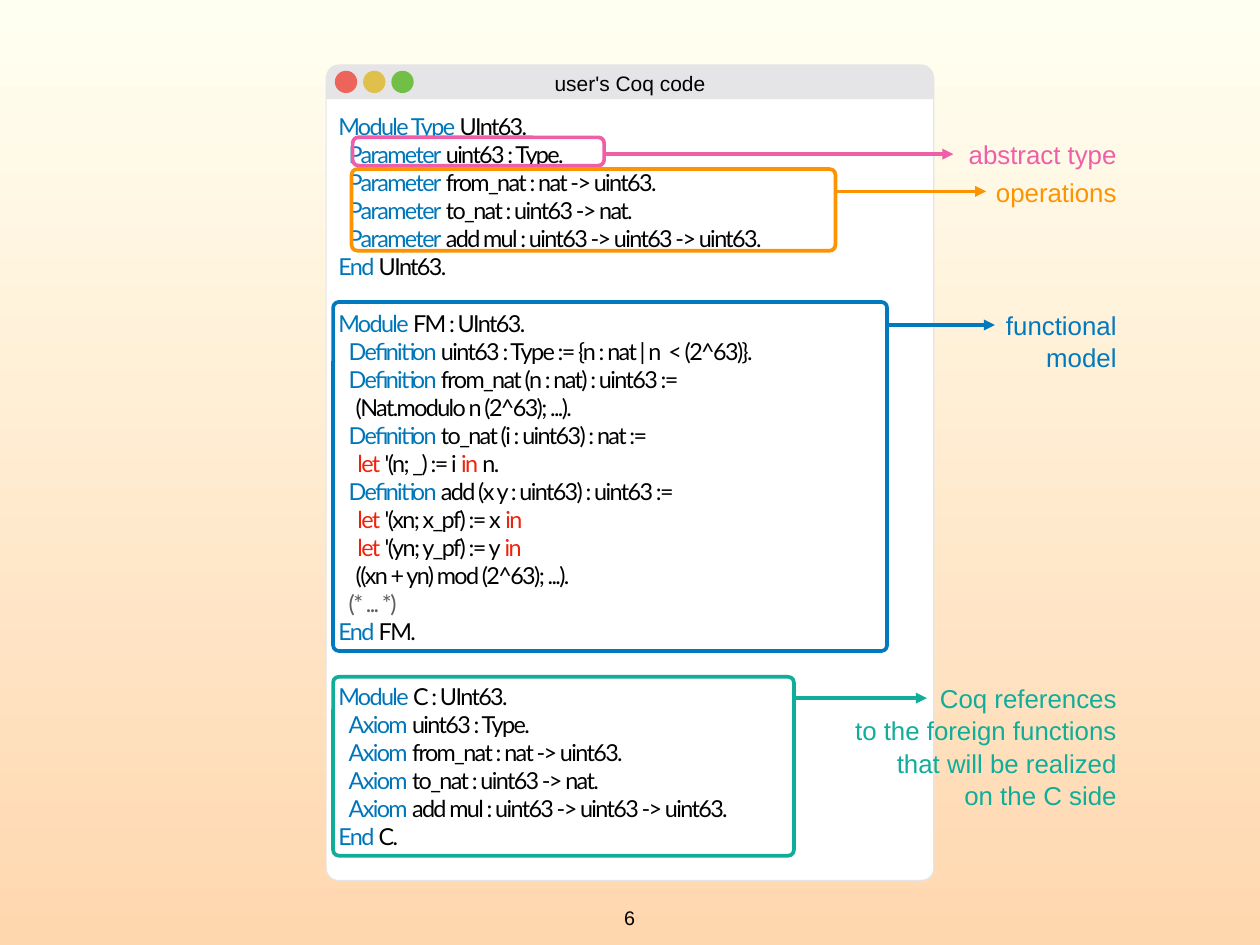
from pptx import Presentation
from pptx.dml.color import RGBColor
from pptx.enum.shapes import MSO_CONNECTOR, MSO_SHAPE
from pptx.enum.text import MSO_ANCHOR, MSO_AUTO_SIZE, PP_ALIGN
from pptx.oxml.ns import qn
from pptx.util import Cm, Pt
from lxml import etree

ROUND = MSO_SHAPE.ROUNDED_RECTANGLE
CAP = MSO_SHAPE.ROUND_2_SAME_RECTANGLE
OVAL = MSO_SHAPE.OVAL
STRAIGHT = MSO_CONNECTOR.STRAIGHT
TOP, MIDDLE = MSO_ANCHOR.TOP, MSO_ANCHOR.MIDDLE
FIXED = MSO_AUTO_SIZE.NONE
LEFT, CENTER, RIGHT = PP_ALIGN.LEFT, PP_ALIGN.CENTER, PP_ALIGN.RIGHT

BLACK, GREY, BLUE, RED = "000000", "E5E4E6", "0076BA", "EE230C"
INKS = {"let": RED, "in": RED, "(* ... *)": "5E5E5E"}
PAD = 0.15
EDGE = 32.16

TYPE_CODE = """`Module Type` UInt63.
  `Parameter` uint63 : Type.
  `Parameter` from_nat : nat -> uint63.
  `Parameter` to_nat : uint63 -> nat.
  `Parameter` add mul : uint63 -> uint63 -> uint63.
`End` UInt63."""

MODEL_CODE = """`Module` FM : UInt63.
  `Definition` uint63 : Type := {n : nat | n  < (2^63)}.
  `Definition` from_nat (n : nat) : uint63 :=
    (Nat.modulo n (2^63); ...).
  `Definition` to_nat (i : uint63) : nat :=
    `let` '(n; _) := i `in` n.
  `Definition` add (x y : uint63) : uint63 :=
    `let` '(xn; x_pf) := x `in`
    `let` '(yn; y_pf) := y `in`
    ((xn + yn) mod (2^63); ...).
  `(* ... *)`
`End` FM."""

AXIOM_CODE = """`Module` C : UInt63.
  `Axiom` uint63 : Type.
  `Axiom` from_nat : nat -> uint63.
  `Axiom` to_nat : uint63 -> nat.
  `Axiom` add mul : uint63 -> uint63 -> uint63.
`End` C."""

CODES = [(3.07, 5.31, TYPE_CODE), (8.71, 10.03, MODEL_CODE), (19.41, 5.31, AXIOM_CODE)]

NOTES = [
    ((10.11, 3.94, 7.21, 0.81), 0.48, 27.33, "EF5FA7", "abstract type"),
    ((10.08, 4.85, 13.87, 2.34), 0.64, 28.27, "FE9301", "operations"),
    ((9.55, 8.66, 15.88, 10.01), 0.66, 28.52, "0079BF", "functional\nmodel"),
    ((9.55, 19.41, 13.21, 5.13), 0.61, 26.57, "10AD9B",
     "Coq references\nto the foreign functions\nthat will be realized\non the C side"),
]


def hue(code):
    return RGBColor.from_string(code)


def style(run, font, size, color):
    run.font.name = font
    run.font.size = Pt(size)
    run.font.color.rgb = hue(color)


def shape(slide, kind, box, fill=None, line=None, width=1):
    item = slide.shapes.add_shape(kind, *map(Cm, box))
    item.shadow.inherit = False
    if fill:
        item.fill.solid()
        item.fill.fore_color.rgb = hue(fill)
    else:
        item.fill.background()
    if line:
        item.line.color.rgb = hue(line)
        item.line.width = Pt(width)
    else:
        item.line.fill.background()
    return item


def frame(item, anchor):
    text = item.text_frame
    text.word_wrap = True
    text.auto_size = FIXED
    text.vertical_anchor = anchor
    text.margin_left = text.margin_right = Cm(PAD)
    text.margin_top = text.margin_bottom = Cm(PAD)
    return text


def write(item, words, size, color, align, anchor=TOP, space=1.0):
    text = frame(item, anchor)
    text.text = words
    for para in text.paragraphs:
        para.alignment = align
        para.line_spacing = space
        for run in para.runs:
            style(run, "Arial", size, color)


def window(slide, box, name):
    left, top, width, height = box
    body = shape(slide, ROUND, (left, top + 0.08, width, height), "FFFFFF", GREY)
    body.adjustments[0] = 0.02
    bar = shape(slide, CAP, (left, top, width, 0.99), GREY)
    bar.adjustments[0] = 0.366
    for step, color in enumerate(["ED655A", "E0C04C", "72BF47"]):
        shape(slide, OVAL, (left + 0.25 + step * 0.81, top + 0.18, 0.64, 0.64), color)
    title = slide.shapes.title
    title.left, title.top = Cm(left), Cm(top + 0.05)
    title.width, title.height = Cm(width), Cm(0.97)
    write(title, name, 17, BLACK, CENTER, MIDDLE)
    slide.shapes._spTree.append(title._element)


def code(slide, box, source):
    text = frame(slide.shapes.add_textbox(*map(Cm, box)), TOP)
    for row, line in enumerate(source.split("\n")):
        para = text.add_paragraph() if row else text.paragraphs[0]
        para.alignment = LEFT
        for place, piece in enumerate(line.split("`")):
            if piece:
                run = para.add_run()
                run.text = piece
                style(run, "Lato", 19, INKS.get(piece, BLUE) if place % 2 else BLACK)
                run.font._element.set("spc", "-130")


def arrow(slide, start, end, level, color):
    item = slide.shapes.add_connector(STRAIGHT, Cm(start), Cm(level), Cm(end), Cm(level))
    item.line.color.rgb = hue(color)
    item.line.width = Pt(3)
    etree.SubElement(item.line._get_or_add_ln(), qn("a:tailEnd"), type="triangle")
    etree.SubElement(item._element.spPr, qn("a:effectLst"))


def note(slide, box, drop, tip, color, words):
    left, top, width, height = box
    ring = shape(slide, ROUND, box, line=color, width=3)
    ring.adjustments[0] = 0.165 / height
    level = top + drop
    arrow(slide, left + width, tip, level, color)
    tall = 0.89 * len(words.split("\n")) + 2 * PAD
    label = slide.shapes.add_textbox(Cm(EDGE - 9), Cm(level - 0.62), Cm(9), Cm(tall))
    write(label, words, 21, color, RIGHT, space=1.04)


def ground(slide):
    fill = slide.background.fill
    fill.gradient()
    fill.gradient_angle = 270
    for stop, color in zip(fill.gradient_stops, ["FFFFF1", "FFD7AF"]):
        stop.color.rgb = hue(color)


def main():
    deck = Presentation()
    deck.slide_width, deck.slide_height = Cm(36.12), Cm(27.1)
    slide = deck.slides.add_slide(deck.slide_layouts[5])
    ground(slide)
    window(slide, (9.35, 1.85, 17.42, 23.32), "user's Coq code")
    for top, height, source in CODES:
        code(slide, (9.55, top, 17, height), source)
    for item in NOTES:
        note(slide, *item)
    page = slide.shapes.add_textbox(Cm(17.55), Cm(25.83), Cm(1), Cm(0.89))
    write(page, "6", 16, BLACK, CENTER)
    deck.save("out.pptx")


if __name__ == "__main__":
    main()
